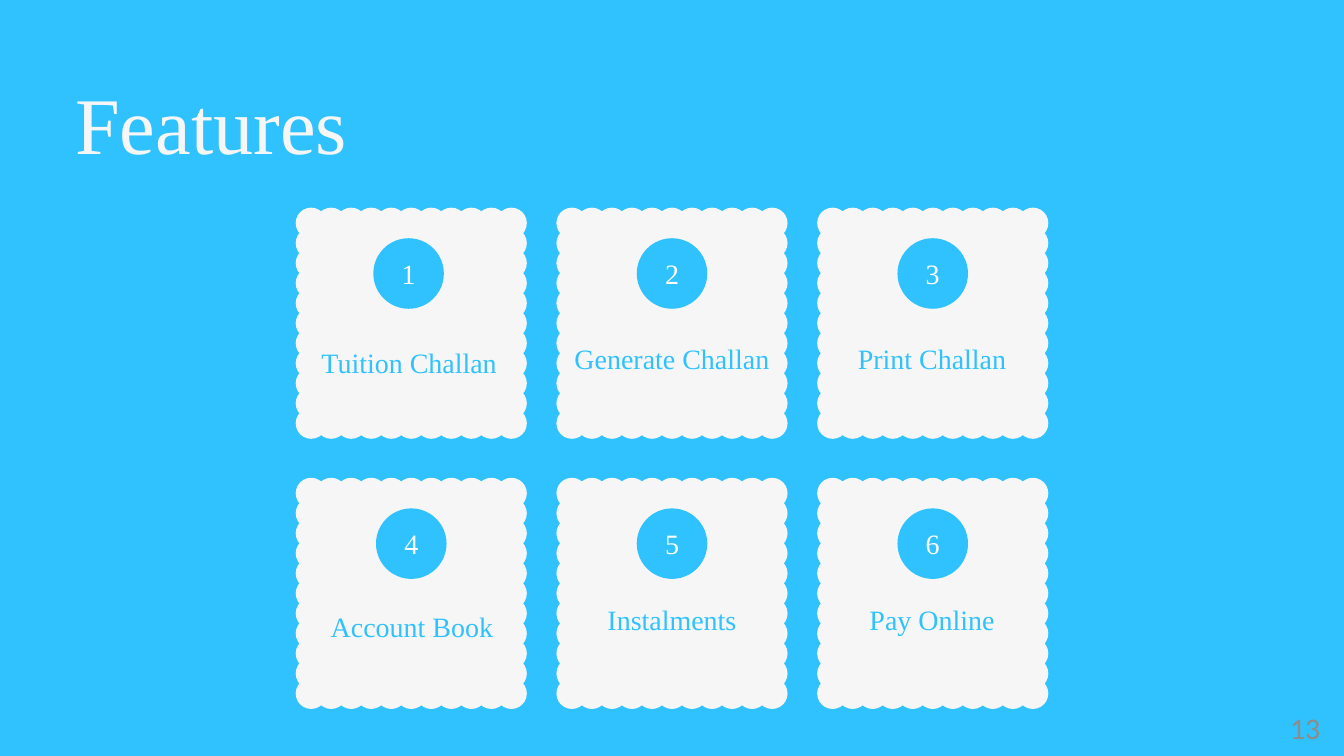
import math
from dataclasses import dataclass

from lxml import etree
from pptx import Presentation
from pptx.dml.color import RGBColor
from pptx.enum import shapes, text
from pptx.oxml.ns import qn
from pptx.util import Inches, Pt

COLORS = {"sky": "2FC2FE", "paper": "F6F6F6", "white": "FFFFFF", "gray": "8C8C8C"}
SERIF = "Times New Roman"

# Card grid and scalloped edge, in inches
FIRST_X, FIRST_Y = 6.12, 4.81
PITCH_X, PITCH_Y = 3.88, 4.02
SCALLOPS, SIDE, RADIUS = 10, 2.98, 0.23
BADGE_SIZE, BADGE_RISE = 1.05, 0.74
LABEL_WIDTH, LABEL_HEIGHT = 2.96, 0.59


@dataclass
class Feature:
    name: str
    label_top: float
    label_shift: float = 0
    badge_shift: float = 0


@dataclass
class Arc:
    start: float
    sweep: float
    end_x: float
    end_y: float


FEATURES = [
    Feature("Tuition Challan", 5.06, -0.03, -0.04),
    Feature("Generate Challan", 5.01),
    Feature("Print Challan", 5.01, -0.01),
    Feature("Account Book", 8.99, 0.01),
    Feature("Instalments", 8.88),
    Feature("Pay Online", 8.88, -0.01),
]


def color(name: str) -> RGBColor:
    return RGBColor.from_string(COLORS[name])


def paint(shape, fill: str) -> None:
    shape.shadow.inherit = False
    shape.fill.solid()
    shape.fill.fore_color.rgb = color(fill)
    shape.line.fill.background()


def write(shape, words: str, size: float, ink: str, align, font: str = SERIF,
          spacing: float | None = None, anchor=text.MSO_ANCHOR.TOP) -> None:
    frame = shape.text_frame
    frame.text = words
    frame.word_wrap = True
    frame.auto_size = text.MSO_AUTO_SIZE.NONE
    frame.vertical_anchor = anchor
    frame.margin_left = frame.margin_right = frame.margin_top = frame.margin_bottom = 0
    para = frame.paragraphs[0]
    para.alignment = align
    if spacing:
        para.line_spacing = Pt(spacing)
    span = para.runs[0]
    span.font.name, span.font.size = font, Pt(size)
    span.font.color.rgb = color(ink)


def scallop_arcs(center_x: float, center_y: float) -> list[Arc]:
    """Arcs of a square edged with overlapping circles, clockwise from top left."""
    step = SIDE / SCALLOPS
    half_arc = math.asin(step / 2 / RADIUS)
    arcs = []
    for side in range(4):
        normal = (side - 1) * math.pi / 2
        out_x, out_y = math.cos(normal), math.sin(normal)
        end = normal + half_arc
        for scallop in range(SCALLOPS):
            along = scallop * step - SIDE / 2
            x = center_x + out_x * SIDE / 2 - out_y * along
            y = center_y + out_y * SIDE / 2 + out_x * along
            # The first scallop of each side also rounds the corner
            sweep = 2 * half_arc + (math.pi / 2 if scallop == 0 else 0)
            arcs.append(Arc(end - sweep, sweep, x + RADIUS * math.cos(end),
                            y + RADIUS * math.sin(end)))
    return arcs


def draw_scalloped_square(page, center_x: float, center_y: float) -> None:
    arcs = scallop_arcs(center_x, center_y)
    cusps = [(Inches(arc.end_x), Inches(arc.end_y)) for arc in arcs]
    builder = page.shapes.build_freeform(*cusps[-1])
    builder.add_line_segments(cusps, close=True)
    square = builder.convert_to_shape()
    paint(square, "paper")

    # Bend each straight segment into its arc
    radius = str(Inches(RADIUS))
    for line, arc in zip(list(square._element.iter(qn("a:lnTo"))), arcs):
        bend = etree.Element(
            qn("a:arcTo"), wR=radius, hR=radius,
            stAng=str(round(math.degrees(arc.start) % 360 * 60000)),
            swAng=str(round(math.degrees(arc.sweep) * 60000)))
        line.getparent().replace(line, bend)


def draw_card(page, number: int, feature: Feature) -> None:
    row, column = divmod(number - 1, 3)
    x, y = FIRST_X + column * PITCH_X, FIRST_Y + row * PITCH_Y
    draw_scalloped_square(page, x, y)

    # Label
    label = page.shapes.add_textbox(
        Inches(x + feature.label_shift - LABEL_WIDTH / 2), Inches(feature.label_top),
        Inches(LABEL_WIDTH), Inches(LABEL_HEIGHT))
    write(label, feature.name, 30, "sky", text.PP_ALIGN.CENTER, spacing=41.7)

    # Numbered badge
    badge = page.shapes.add_shape(
        shapes.MSO_SHAPE.OVAL, Inches(x + feature.badge_shift - BADGE_SIZE / 2),
        Inches(y - BADGE_RISE - BADGE_SIZE / 2), Inches(BADGE_SIZE), Inches(BADGE_SIZE))
    paint(badge, "sky")
    write(badge, str(number), 30, "white", text.PP_ALIGN.CENTER, spacing=36,
          anchor=text.MSO_ANCHOR.MIDDLE)


def main() -> None:
    deck = Presentation()
    deck.slide_width, deck.slide_height = Inches(20), Inches(11.25)
    page = deck.slides.add_slide(deck.slide_layouts[5])
    page.background.fill.solid()
    page.background.fill.fore_color.rgb = color("sky")

    # Title
    title = page.shapes.title
    title.left, title.top = Inches(1.12), Inches(1.11)
    title.width, title.height = Inches(9.92), Inches(1.44)
    write(title, "Features", 86, "paper", text.PP_ALIGN.LEFT, spacing=103.2)

    # Feature cards
    for number, feature in enumerate(FEATURES, start=1):
        draw_card(page, number, feature)

    # Page number
    box = page.shapes.add_textbox(Inches(17.42), Inches(10.62), Inches(2.23), Inches(0.4))
    write(box, "13", 32, "gray", text.PP_ALIGN.RIGHT, font="Calibri",
          anchor=text.MSO_ANCHOR.MIDDLE)

    deck.save("out.pptx")


if __name__ == "__main__":
    main()
